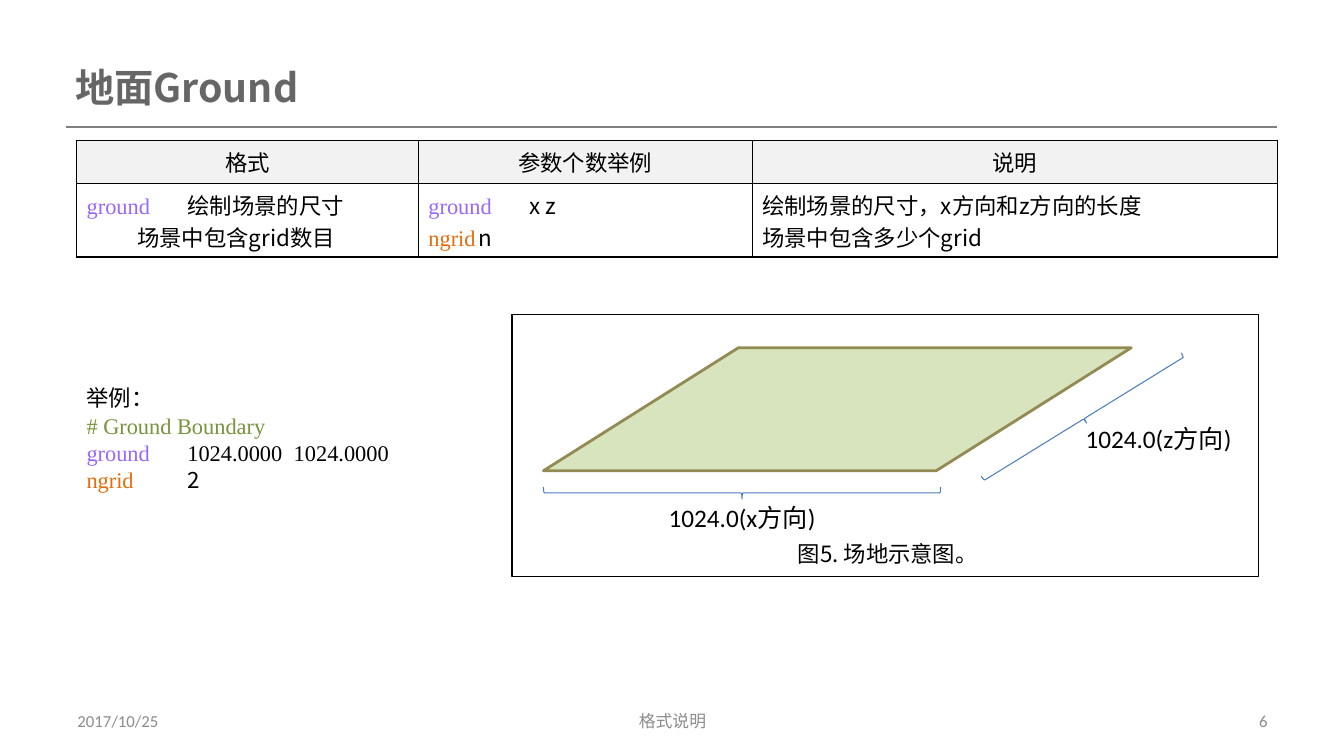
from lxml.etree import SubElement
from pptx import Presentation
from pptx.dml.color import RGBColor
from pptx.enum.shapes import MSO_CONNECTOR, MSO_SHAPE
from pptx.enum.text import MSO_ANCHOR, PP_ALIGN
from pptx.oxml.ns import qn
from pptx.util import Inches, Pt

HUES = {
    "back": "FFFFFF", "ink": "000000", "title": "666666", "rule": "808080",
    "foot": "8C8C8C", "head": "F2F2F2", "key": "9966FF", "grid": "E46C0A",
    "note": "77933C", "field": "D7E4BD", "edge": "948A54", "brace": "4B7EBC",
}
SANS, SERIF, PLAIN = "Noto Sans CJK SC", "Times New Roman", "Calibri"
LEFT, MID, RIGHT = PP_ALIGN.LEFT, PP_ALIGN.CENTER, PP_ALIGN.RIGHT
KEY = ("ground", SERIF, "key")
GRID = ("ngrid", SERIF, "grid")


def hue(name):
    """Return the named colour."""
    return RGBColor.from_string(HUES[name])


def style(font, face, tone):
    """Set the typeface and colour of a font."""
    font.color.rgb = hue(tone)
    font.name = face
    SubElement(font._element, qn("a:ea")).set("typeface", SANS)


def write(frame, lines, size, align=LEFT):
    """Fill a text frame; each line is a list of (text, face, colour)."""
    frame.word_wrap = True
    for i, line in enumerate(lines):
        para = frame.add_paragraph() if i else frame.paragraphs[0]
        para.alignment = align
        para.font.size = Pt(size)
        for text, face, tone in line:
            run = para.add_run()
            run.text = text
            style(para.font if len(line) == 1 else run.font, face, tone)


def label(slide, box, lines, size, align=LEFT, anchor=MSO_ANCHOR.TOP):
    """Add a text box and return its frame."""
    frame = slide.shapes.add_textbox(*map(Inches, box)).text_frame
    frame.vertical_anchor = anchor
    write(frame, lines, size, align)
    return frame


def form(slide, kind, box, line=None, width=1, fill=None, turn=0):
    """Add a preset shape with an optional outline and fill."""
    shape = slide.shapes.add_shape(kind, *map(Inches, box))
    shape.shadow.inherit = False
    shape.rotation = turn
    if fill:
        shape.fill.solid()
        shape.fill.fore_color.rgb = hue(fill)
    else:
        shape.fill.background()
    if line:
        shape.line.color.rgb = hue(line)
        shape.line.width = Pt(width)
    else:
        shape.line.fill.background()
    return shape


def header(slide, x, y, w, h):
    """Place the title and the rule below it."""
    frame = label(slide, (x, y, 4.02, h), [[("地面Ground", SANS, "title")]], 28)
    para = frame.paragraphs[0]
    para.font.bold = True
    para.line_spacing = 0.9
    ends = (x, y + h, x + w, y + h)
    rule = slide.shapes.add_connector(MSO_CONNECTOR.STRAIGHT, *map(Inches, ends))
    rule.line.color.rgb = hue("rule")
    rule.line.width = Pt(1.5)
    SubElement(rule._element.spPr, qn("a:effectLst"))


def border(cell):
    """Draw a thin line on all four sides of a cell."""
    props = cell._tc.get_or_add_tcPr()
    for i, side in enumerate(("lnL", "lnR", "lnT", "lnB")):
        line = props.makeelement(qn(f"a:{side}"), {"w": str(Pt(1))})
        fill = SubElement(line, qn("a:solidFill"))
        SubElement(fill, qn("a:srgbClr")).set("val", HUES["ink"])
        props.insert(i, line)


def table(slide, x, y, w, h):
    """Place the table of formats."""
    heads = [[[(text, SANS, "ink")]] for text in ("格式", "参数个数举例", "说明")]
    body = [
        [[("ground \t", SERIF, "key"), ("绘制场景的尺寸", SANS, "ink")],
         [("\t场景中包含grid数目", SANS, "ink")]],
        [[KEY, (" \tx z\t", SANS, "ink")], [GRID, ("\tn", SANS, "ink")]],
        [[("绘制场景的尺寸，x方向和z方向的长度", SANS, "ink")],
         [("场景中包含多少个grid", SANS, "ink")]],
    ]
    grid = slide.shapes.add_table(2, 3, *map(Inches, (x, y, w, h))).table
    for col, wide in zip(grid.columns, (3.39, 3.31, w - 6.7)):
        col.width = Inches(wide)
    for row, tall in zip(grid.rows, (0.43, h - 0.43)):
        row.height = Inches(tall)
    for r, row in enumerate((heads, body)):
        for c, lines in enumerate(row):
            cell = grid.cell(r, c)
            cell.fill.solid()
            cell.fill.fore_color.rgb = hue("back" if r else "head")
            border(cell)
            write(cell.text_frame, lines, 16, LEFT if r else MID)


def sample(slide, x, y, w, h):
    """Place the example of the file format."""
    lines = [
        [("举例：", SANS, "ink")],
        [("# Ground Boundary", SERIF, "note")],
        [("ground \t", SERIF, "key"), ("1024.0000\t 1024.0000", SERIF, "ink")],
        [GRID, (" \t2", SANS, "ink")],
    ]
    for para in label(slide, (x, y, w, h), lines, 16).paragraphs:
        para.line_spacing = Pt(19.5)


def figure(slide, x, y, w, h):
    """Place the framed sketch of the ground."""
    field = form(slide, MSO_SHAPE.PARALLELOGRAM,
                 (x + 0.31, y + 0.33, 5.83, 1.22), "edge", 2, "field")
    field.adjustments[0] = 1.585
    form(slide, MSO_SHAPE.LEFT_BRACE, (x + 2.22, y - 0.2, 0.12, 3.94),
         "brace", 0.75, turn=270)
    form(slide, MSO_SHAPE.RIGHT_BRACE, (x + 5.62, y - 0.13, 0.1, 2.33),
         "brace", 0.75, turn=58.3)
    for axis, dx, dy in (("x", 1.44, 1.81), ("z", 5.57, 1.03)):
        label(slide, (x + dx, y + dy, 1.68, 0.4),
              [[(f"1024.0({axis}方向)", PLAIN, "ink")]], 18, MID)
    title = form(slide, MSO_SHAPE.ROUNDED_RECTANGLE,
                 (x + 2.19, y + 2.11, 3.07, 0.53))
    title.adjustments[0] = 0.08
    title.text_frame.vertical_anchor = MSO_ANCHOR.MIDDLE
    write(title.text_frame, [[("图5. 场地示意图。", SANS, "ink")]], 16, MID)
    form(slide, MSO_SHAPE.RECTANGLE, (x, y, w, h), "ink")


def footer(slide, x, y, w, h):
    """Place the date, the topic and the page number."""
    parts = (("2017/10/25", 0, 3.11, LEFT),
             ("格式说明", (w - 4.22) / 2, 4.22, MID),
             ("6", w - 3.11, 3.11, RIGHT))
    for text, dx, wide, align in parts:
        label(slide, (x + dx, y, wide, h), [[(text, PLAIN, "foot")]],
              12, align, MSO_ANCHOR.MIDDLE)


def main():
    """Build and save the slide."""
    deck = Presentation()
    deck.slide_width, deck.slide_height = Inches(13.33), Inches(7.5)
    slide = deck.slides.add_slide(deck.slide_layouts[6])
    slide.background.fill.solid()
    slide.background.fill.fore_color.rgb = hue("back")
    header(slide, 0.65, 0.63, 12.02, 0.63)
    table(slide, 0.76, 1.39, 11.91, 1.16)
    figure(slide, 5.08, 3.12, 7.4, 2.6)
    sample(slide, 0.76, 3.76, 4.18, 1.18)
    footer(slide, 0.67, 6.95, 12, 0.4)
    deck.save("out.pptx")


if __name__ == "__main__":
    main()
